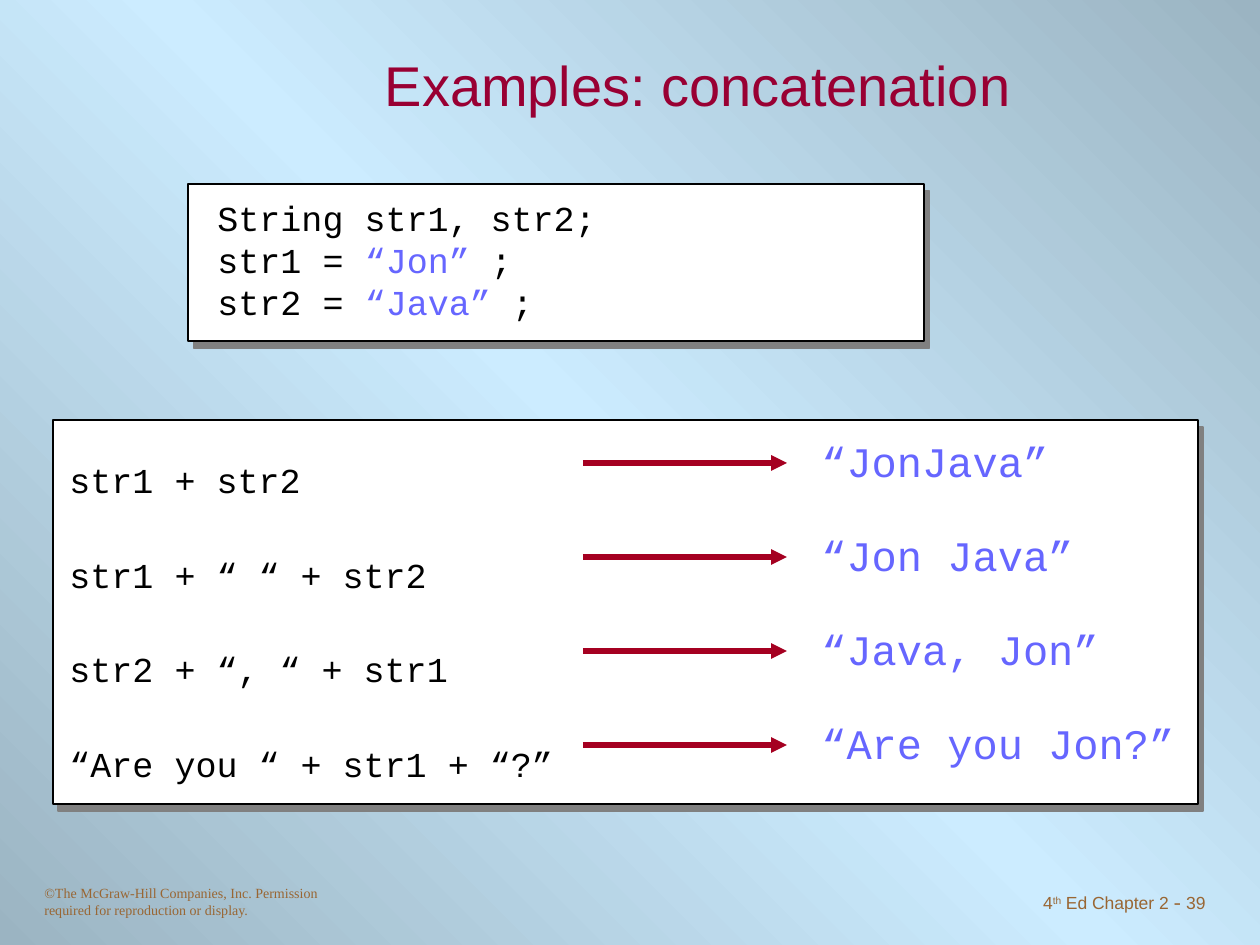
from lxml.etree import SubElement
from pptx import Presentation
from pptx.dml.color import RGBColor
from pptx.enum.shapes import MSO_CONNECTOR as CONN, MSO_SHAPE as SHAPE
from pptx.enum.text import MSO_ANCHOR as ANCHOR, MSO_AUTO_SIZE as FIT, PP_ALIGN as ALIGN
from pptx.oxml.ns import qn
from pptx.util import Pt

SCALE = 914400 / 126
COLORS = {
    "edge": "9BB4C2", "middle": "CCECFF", "title": "990033", "footer": "996633",
    "code": "000000", "string": "6666FF", "arrow": "A50021",
    "panel": "FFFFFF", "outline": "000000", "shadow": "808080",
}
DECLARATIONS = [
    [("String str1, str2;", "code")],
    [("str1 = ", "code"), ("“Jon”", "string"), (" ;", "code")],
    [("str2 = ", "code"), ("“Java”", "string"), (" ;", "code")],
]
EXAMPLES = [
    ("str1 + str2", "“JonJava”"),
    ("str1 + “ “ + str2", "“Jon Java”"),
    ("str2 + “, “ + str1", "“Java, Jon”"),
    ("“Are you “ + str1 + “?”", "“Are you Jon?”"),
]
ROW_PITCH = 94


def px(n):
    """Turn pixels into EMU."""
    return int(n * SCALE)


def rgb(name):
    """Look up a named colour."""
    return RGBColor.from_string(COLORS[name])


def style(r, size, font, color):
    """Format one run."""
    r.font.size = Pt(size)
    r.font.name = font
    r.font.color.rgb = rgb(color)


def paint_background(s):
    """Fill the slide with a diagonal three-stop gradient."""
    fill = s.background.fill
    fill.gradient()
    fill.gradient_angle = 45
    stops = s.element.find(".//" + qn("a:gsLst"))
    for gs in list(stops):
        stops.remove(gs)
    for pos, name in ((0, "edge"), (50000, "middle"), (100000, "edge")):
        gs = SubElement(stops, qn("a:gs"), pos=str(pos))
        SubElement(gs, qn("a:srgbClr"), val=COLORS[name])


def set_title(s, text):
    """Place and format the title placeholder."""
    sp = s.shapes.title
    sp.left, sp.top, sp.width, sp.height = px(189), px(32), px(1018), px(105)
    tf = sp.text_frame
    tf.text = text
    tf.vertical_anchor = ANCHOR.MIDDLE
    p = tf.paragraphs[0]
    p.alignment = ALIGN.CENTER
    style(p.runs[0], 32, "Arial", "title")


def add_panel(s, x, y, w, h):
    """Add a white outlined panel with a hard offset shadow."""
    sp = s.shapes.add_shape(SHAPE.RECTANGLE, px(x), px(y), px(w), px(h))
    sp.fill.solid()
    sp.fill.fore_color.rgb = rgb("panel")
    sp.line.color.rgb = rgb("outline")
    sp.line.width = Pt(0.75)
    sp.shadow.inherit = False
    effects = sp.element.spPr.find(qn("a:effectLst"))
    shadow = SubElement(effects, qn("a:outerShdw"), dist=str(Pt(5)),
                        dir=str(53 * 60000), algn="ctr", rotWithShape="0")
    SubElement(shadow, qn("a:srgbClr"), val=COLORS["shadow"])


def add_code(s, x, y, w, h, lines, size, spacing=None):
    """Add unwrapped code lines, each a list of (text, colour) pieces."""
    tf = s.shapes.add_textbox(px(x), px(y), px(w), px(h)).text_frame
    tf.word_wrap = False
    tf.auto_size = FIT.SHAPE_TO_FIT_TEXT
    for i, line in enumerate(lines):
        p = tf.add_paragraph() if i else tf.paragraphs[0]
        p.line_spacing = spacing
        for text, color in line:
            r = p.add_run()
            r.text = text
            style(r, size, "Courier New", color)


def add_arrow(s, x1, x2, y):
    """Add a horizontal arrow pointing right."""
    line = s.shapes.add_connector(CONN.STRAIGHT, px(x1), px(y), px(x2), px(y))
    line.line.color.rgb = rgb("arrow")
    line.line.width = Pt(3)
    SubElement(line.line._get_or_add_ln(), qn("a:tailEnd"), type="triangle")
    SubElement(line.element.spPr, qn("a:effectLst"))


def add_footer(s, x, w, inset, pieces, align):
    """Add a footer from (text, size, font) pieces and return its runs."""
    tf = s.shapes.add_textbox(px(x), px(861), px(w), px(63)).text_frame
    tf.word_wrap = True
    tf.margin_top = px(inset)
    p = tf.paragraphs[0]
    p.alignment = align
    for text, size, font in pieces:
        r = p.add_run()
        r.text = text
        style(r, size, font, "footer")
    return p.runs


def add_result(s, row, text):
    """Add the arrow and resulting string of one example."""
    y = 463 + row * ROW_PITCH
    add_arrow(s, 583, 787, y)
    width = (len(text) + 1) * 126 // 5 + 2
    add_code(s, 809, y - 34, width, 63, [[(text, "string")]], 24)


def main():
    """Build the slide and save it."""
    prs = Presentation()
    prs.slide_width, prs.slide_height = px(1260), px(945)
    s = prs.slides.add_slide(prs.slide_layouts[5])
    paint_background(s)
    add_footer(s, 32, 315, 24, [
        ("©The McGraw-Hill Companies, Inc. Permission required for "
         "reproduction or display.", 8, "Times New Roman")], ALIGN.LEFT)
    runs = add_footer(s, 945, 273, 28, [
        ("4", 10, "Arial"), ("th", 10, "Arial"), (" Ed Chapter 2", 10, "Arial"),
        (" - ", 12, "Times New Roman"), ("39", 10, "Arial")], ALIGN.RIGHT)
    runs[1].font._element.set("baseline", "30000")
    set_title(s, "Examples: concatenation")
    add_panel(s, 188, 184, 736, 157)
    add_code(s, 205, 190, 408, 139, DECLARATIONS, 20)
    add_panel(s, 53, 420, 1145, 384)
    add_code(s, 57, 400, 512, 391, [[(code, "code")] for code, _ in EXAMPLES], 20, 2.25)
    for row, (_, result) in enumerate(EXAMPLES):
        add_result(s, row, result)
    prs.save("out.pptx")


if __name__ == "__main__":
    main()
